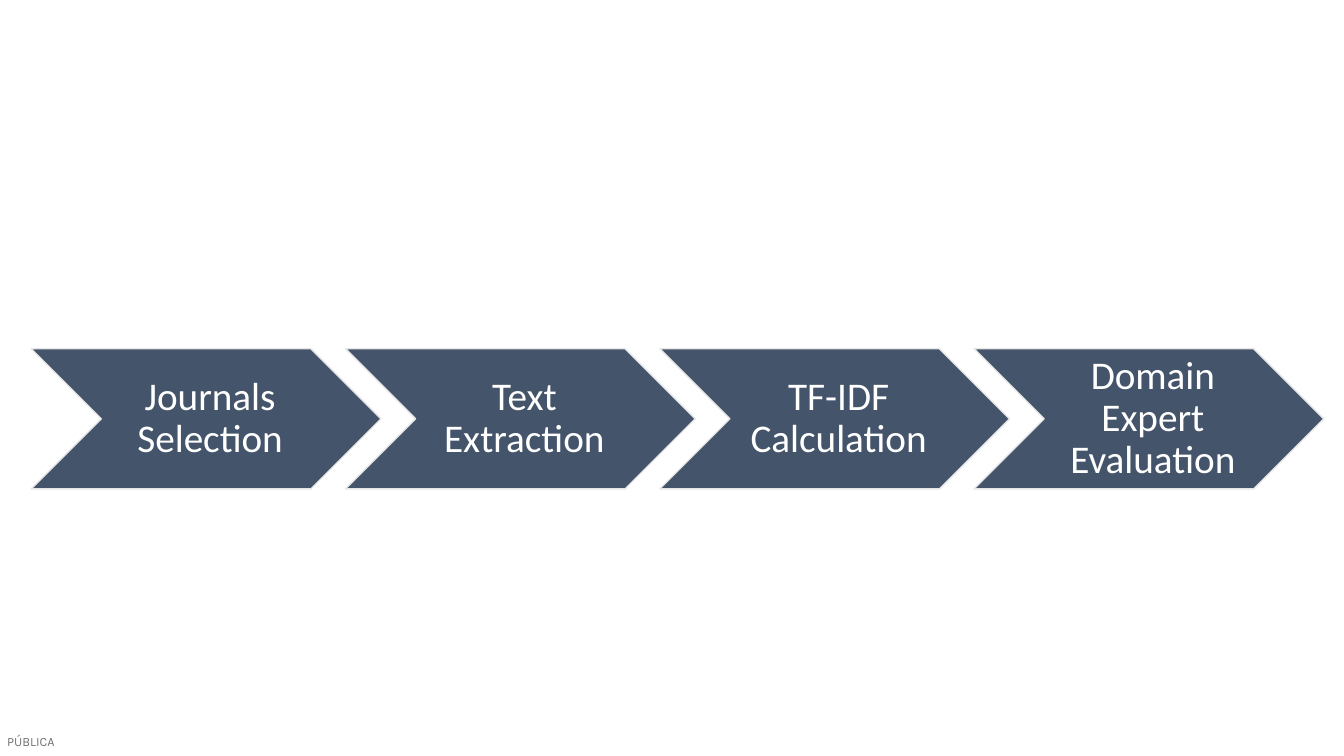
from dataclasses import dataclass

from pptx import Presentation
from pptx.dml.color import RGBColor
from pptx.enum.shapes import MSO_SHAPE
from pptx.enum.text import MSO_ANCHOR, MSO_AUTO_SIZE, PP_ALIGN
from pptx.util import Cm, Pt

CHEVRON = MSO_SHAPE.CHEVRON
MIDDLE, TOP = MSO_ANCHOR.MIDDLE, MSO_ANCHOR.TOP
CENTER, LEFT = PP_ALIGN.CENTER, PP_ALIGN.LEFT
NO_AUTOSIZE, FIT_SHAPE = MSO_AUTO_SIZE.NONE, MSO_AUTO_SIZE.SHAPE_TO_FIT_TEXT
BLANK_LAYOUT = 6


@dataclass(frozen=True)
class Theme:
    step_fill = RGBColor(0x44, 0x54, 0x6A)
    step_line = RGBColor(0xE7, 0xE6, 0xE6)
    step_text = RGBColor(0xFF, 0xFF, 0xFF)
    label_text = RGBColor(0x73, 0x73, 0x73)
    step_font = "Calibri"
    label_font = "Karla"
    step_size = Pt(28)
    label_size = Pt(9)


def apply_format(target, values):
    for name, value in values.items():
        setattr(target, name, value)


class SlideBuilder:
    """Draws styled elements on the current slide."""

    def __init__(self, slide, theme):
        self.slide = slide
        self.theme = theme

    def fill_text(self, shape, text, frame_format, paragraph_format, font_format, color):
        frame = shape.text_frame
        apply_format(frame, frame_format)
        paragraph = frame.paragraphs[0]
        apply_format(paragraph, paragraph_format)
        run = paragraph.add_run()
        run.text = text
        apply_format(run.font, font_format)
        run.font.color.rgb = color

    def step(self, text, left, top, width, height):
        theme = self.theme
        shape = self.slide.shapes.add_shape(CHEVRON, left, top, width, height)
        shape.shadow.inherit = False
        shape.fill.solid()
        shape.fill.fore_color.rgb = theme.step_fill
        shape.line.color.rgb = theme.step_line
        shape.line.width = Pt(1)
        self.fill_text(
            shape, text,
            {"word_wrap": True, "auto_size": NO_AUTOSIZE, "vertical_anchor": MIDDLE,
             "margin_left": Cm(0.3), "margin_top": Cm(0.1),
             "margin_right": Cm(0.1), "margin_bottom": Cm(0.1)},
            {"alignment": CENTER, "line_spacing": 0.9},
            {"name": theme.step_font, "size": theme.step_size},
            theme.step_text,
        )

    def label(self, text, left, top, width, height):
        theme = self.theme
        shape = self.slide.shapes.add_textbox(left, top, width, height)
        self.fill_text(
            shape, text,
            {"word_wrap": False, "auto_size": FIT_SHAPE, "vertical_anchor": TOP,
             "margin_left": 0, "margin_top": 0, "margin_right": 0, "margin_bottom": 0},
            {"alignment": LEFT},
            {"name": theme.label_font, "size": theme.label_size},
            theme.label_text,
        )


def main():
    presentation = Presentation()
    presentation.slide_width = Cm(33.87)
    presentation.slide_height = Cm(19.05)
    slide = presentation.slides.add_slide(presentation.slide_layouts[BLANK_LAYOUT])
    builder = SlideBuilder(slide, Theme())

    builder.label("PÚBLICA", Cm(0.18), Cm(18.49), Cm(1.3), Cm(0.38))
    steps = ["Journals Selection", "Text Extraction", "TF-IDF Calculation",
             "Domain Expert Evaluation"]
    for index, text in enumerate(steps):
        builder.step(text, Cm(0.79 + index * 7.92), Cm(8.79), Cm(8.81), Cm(3.53))

    presentation.save("out.pptx")


if __name__ == "__main__":
    main()
